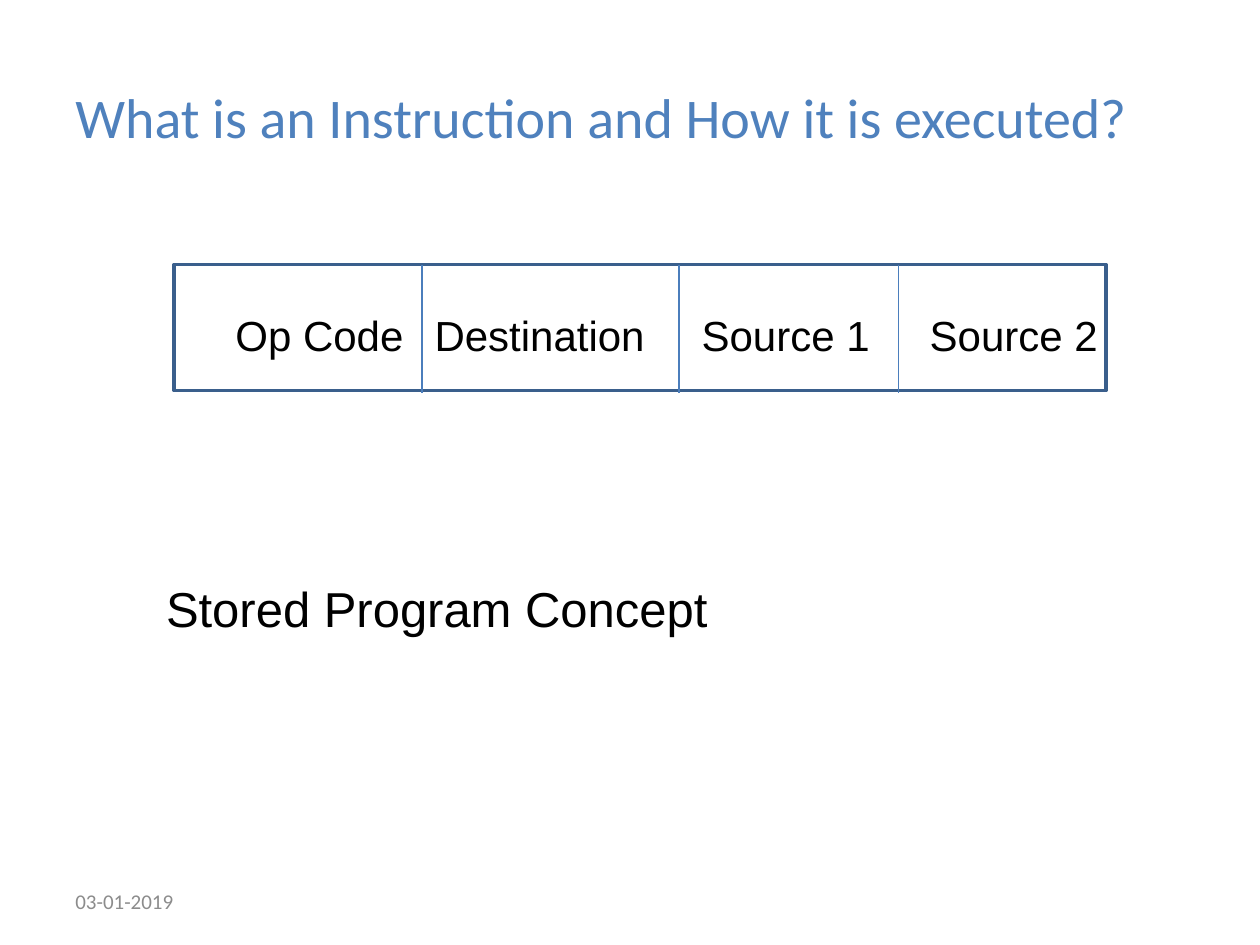
from pptx import Presentation
from pptx.dml.color import RGBColor
from pptx.enum.shapes import MSO_CONNECTOR, MSO_SHAPE
from pptx.enum.text import MSO_ANCHOR, MSO_AUTO_SIZE
from pptx.oxml.ns import qn
from pptx.util import Inches, Pt
from lxml import etree

RECT = MSO_SHAPE.RECTANGLE
STRAIGHT = MSO_CONNECTOR.STRAIGHT
TOP, MIDDLE = MSO_ANCHOR.TOP, MSO_ANCHOR.MIDDLE
GROW = MSO_AUTO_SIZE.SHAPE_TO_FIT_TEXT

TITLE = "What is an Instruction and How it is executed?"
DATE = "03-01-2019"
CONCEPT = "Stored Program Concept"
FIELDS = [
    ("Op Code", 1.77, 1.55),
    ("Destination", 3.35, 1.89),
    ("Source 1", 5.47, 1.55),
    ("Source 2", 7.28, 1.55),
]
DIVIDERS = [3.35, 5.39, 7.13]
FORMAT_TOP = 2.1


def color(value):
    return RGBColor.from_string(value)


def add_text(s, text, box, size, font, fill, anchor=TOP, wrap=True, grow=False):
    tf = s.shapes.add_textbox(*map(Inches, box)).text_frame
    tf.word_wrap = wrap
    tf.vertical_anchor = anchor
    if grow:
        tf.auto_size = GROW
    r = tf.paragraphs[0].add_run()
    r.text = text
    r.font.size = Pt(size)
    r.font.name = font
    r.font.color.rgb = color(fill)


def add_divider(s, x):
    line = s.shapes.add_connector(
        STRAIGHT, Inches(x), Inches(FORMAT_TOP), Inches(x), Inches(FORMAT_TOP + 1.02))
    line.line.color.rgb = color("4B7EBC")
    line.line.width = Pt(0.75)
    etree.SubElement(line._element.spPr, qn("a:effectLst"))


def main():
    prs = Presentation()
    prs.slide_width, prs.slide_height = Inches(10), Inches(7.5)
    s = prs.slides.add_slide(prs.slide_layouts[6])

    add_text(s, TITLE, (0.5, 0.3, 9, 1.25), 32, "Calibri", "4F81BD", MIDDLE)
    add_text(s, DATE, (0.5, 6.95, 2.33, 0.4), 12, "Calibri", "8C8C8C", MIDDLE)

    sp = s.shapes.add_shape(RECT, Inches(1.38), Inches(FORMAT_TOP), Inches(7.4), Inches(1))
    sp.shadow.inherit = False
    sp.fill.background()
    sp.line.color.rgb = color("3A5F8C")
    sp.line.width = Pt(2)

    for x in DIVIDERS:
        add_divider(s, x)
    for label, x, width in FIELDS:
        add_text(s, label, (x, 2.41, width, 0.51), 24, "Arial", "000000",
                 wrap=False, grow=True)

    add_text(s, CONCEPT, (1.22, 4.54, 7.64, 0.57), 28, "Arial", "000000", grow=True)
    prs.save("out.pptx")


if __name__ == "__main__":
    main()
